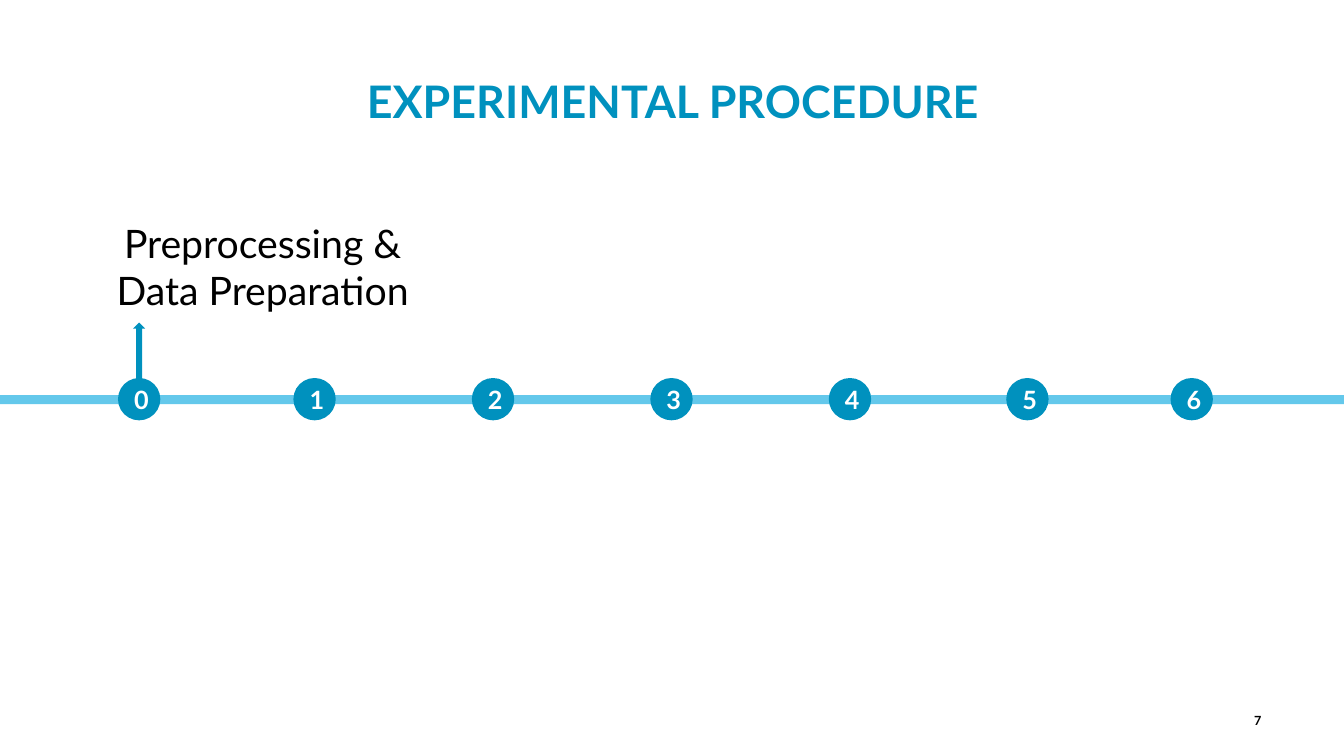
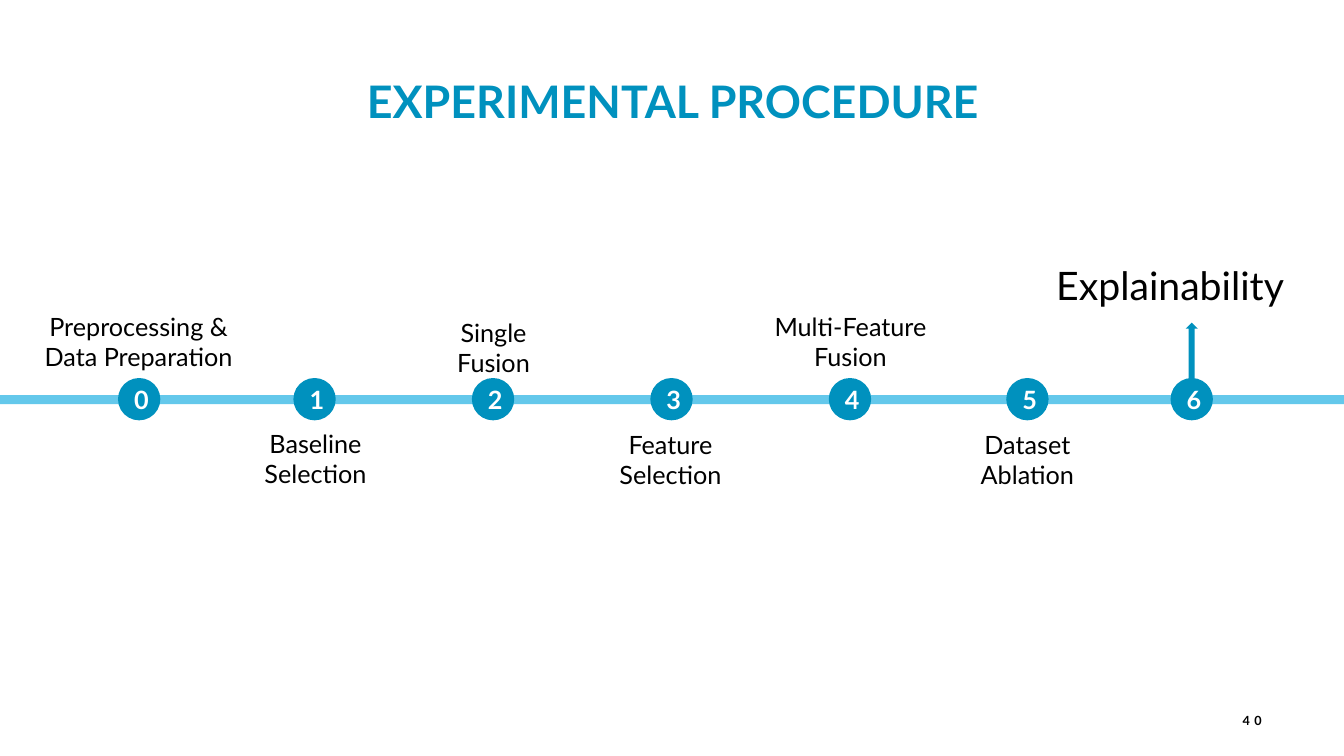
from pptx import Presentation
from pptx import util as u
from pptx.dml.color import RGBColor
from pptx.enum import shapes, text

PX = 9144
FONT = "Lato"
BLUE, SKY, BLACK, WHITE = "0091BE", "64C8EB", "000000", "FFFFFF"
TITLE = "EXPERIMENTAL PROCEDURE"
STEP_LEFTS = [117, 291, 468, 645, 822, 998, 1161]
STEP_TOP, STEP_SIZE = 375, 42
ARROW_TOP, ARROW_WIDTH, ARROW_HEIGHT = 320, 12, 58
STEP_LABELS = [
    (["Preprocessing & Data Preparation"], (21, 304, 233, 71)),
    (["Baseline Selection"], (206, 420, 214, 71)),
    (["Single", "Fusion"], (372, 310, 235, 71)),
    (["Feature Selection"], (576, 421, 178, 71)),
    (["Multi-Feature Fusion"], (734, 304, 219, 71)),
    (["Dataset Ablation"], (938, 421, 162, 71)),
]


def color(value):
    return RGBColor.from_string(value)


def emu(box):
    return [u.Emu(length * PX) for length in box]


def write(shape, lines, size, ink=BLACK, bold=False, align=text.PP_ALIGN.CENTER,
          anchor=text.MSO_ANCHOR.TOP, tracking=0):
    frame = shape.text_frame
    frame.word_wrap = True
    frame.vertical_anchor = anchor
    for index, line in enumerate(lines):
        paragraph = frame.add_paragraph() if index else frame.paragraphs[0]
        paragraph.alignment = align
        run = paragraph.add_run()
        run.text = line
        run.font.name = FONT
        run.font.size = u.Pt(size)
        run.font.bold = bold
        run.font.color.rgb = color(ink)
        if tracking:
            run.font._element.set("spc", str(tracking * 100))


def add_text(slide, box, lines, size, **style):
    write(slide.shapes.add_textbox(*emu(box)), lines, size, **style)


def add_solid(slide, kind, box, fill):
    shape = slide.shapes.add_shape(kind, *emu(box))
    shape.shadow.inherit = False
    shape.fill.solid()
    shape.fill.fore_color.rgb = color(fill)
    shape.line.fill.background()
    return shape


def add_timeline(slide, active_step):
    kinds = shapes.MSO_SHAPE
    add_solid(slide, kinds.RECTANGLE, (-5, 392, 1343, 9), SKY)
    for number, left in enumerate(STEP_LEFTS):
        circle = add_solid(slide, kinds.OVAL, (left, STEP_TOP, STEP_SIZE, STEP_SIZE), BLUE)
        write(circle, [str(number)], 18, ink=WHITE, bold=True, anchor=text.MSO_ANCHOR.MIDDLE)
    arrow_left = STEP_LEFTS[active_step] + (STEP_SIZE - ARROW_WIDTH) // 2
    add_solid(slide, kinds.UP_ARROW, (arrow_left, ARROW_TOP, ARROW_WIDTH, ARROW_HEIGHT), BLUE)


def add_procedure_slide(presentation, page, active_step, heading, heading_box, tracking=0):
    slide = presentation.slides.add_slide(presentation.slide_layouts[6])
    add_text(slide, (1182, 695, 79, 40), [page], 9, bold=True, align=text.PP_ALIGN.RIGHT,
             anchor=text.MSO_ANCHOR.MIDDLE, tracking=tracking)
    add_text(slide, (0, 68, 1335, 64), [TITLE], 32, ink=BLUE, bold=True)
    add_timeline(slide, active_step)
    for lines, box in STEP_LABELS[:active_step]:
        add_text(slide, box, lines, 18)
    add_text(slide, heading_box, [heading], 28)


def main():
    presentation = Presentation()
    presentation.slide_width, presentation.slide_height = emu((1333, 750))
    add_procedure_slide(presentation, "7", 0, "Preprocessing & Data Preparation",
                        (83, 213, 355, 104), tracking=3)
    add_procedure_slide(presentation, "40", 6, "Explainability",
                        (1026, 254, 269, 57), tracking=3)
    presentation.save("out.pptx")


if __name__ == "__main__":
    main()
